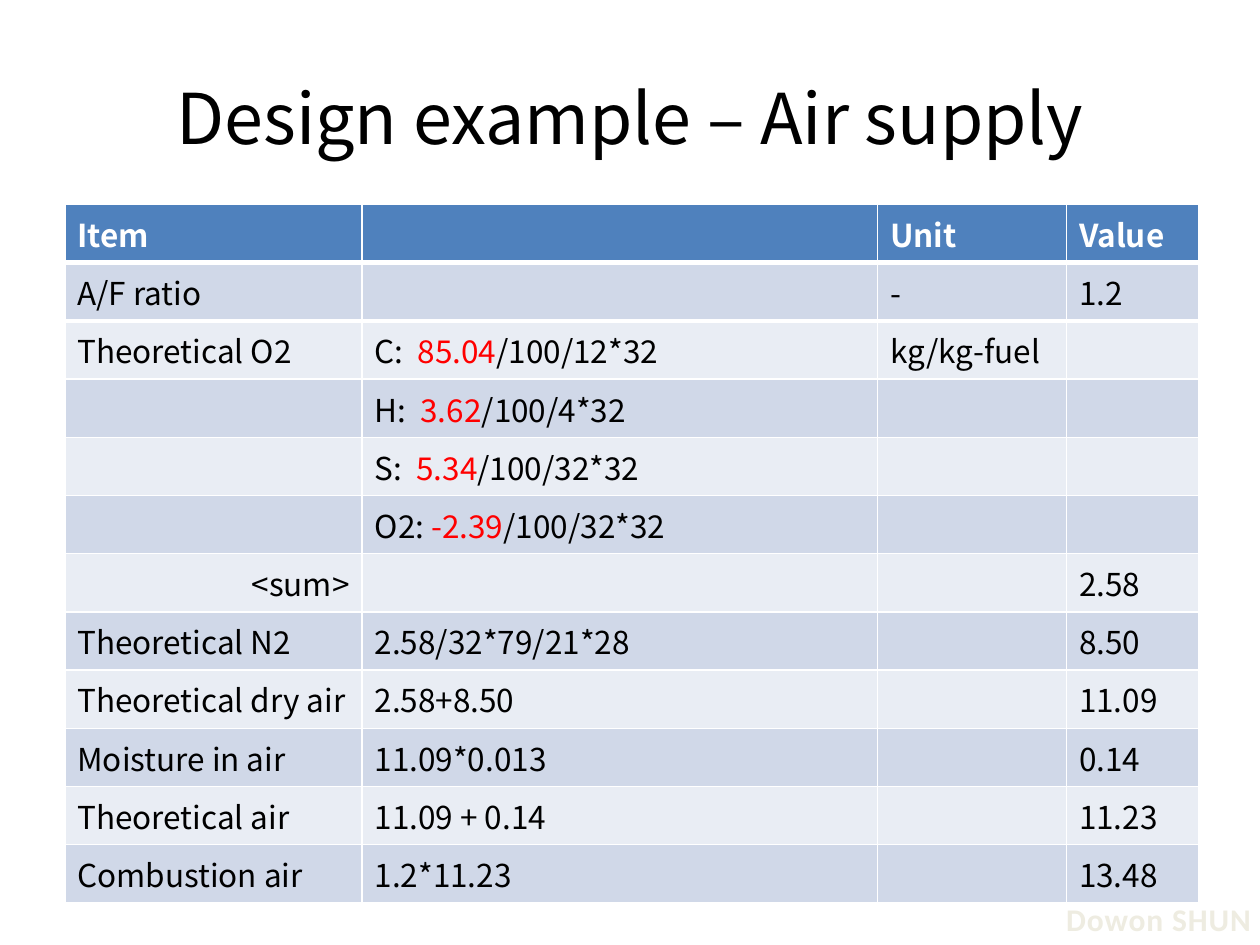
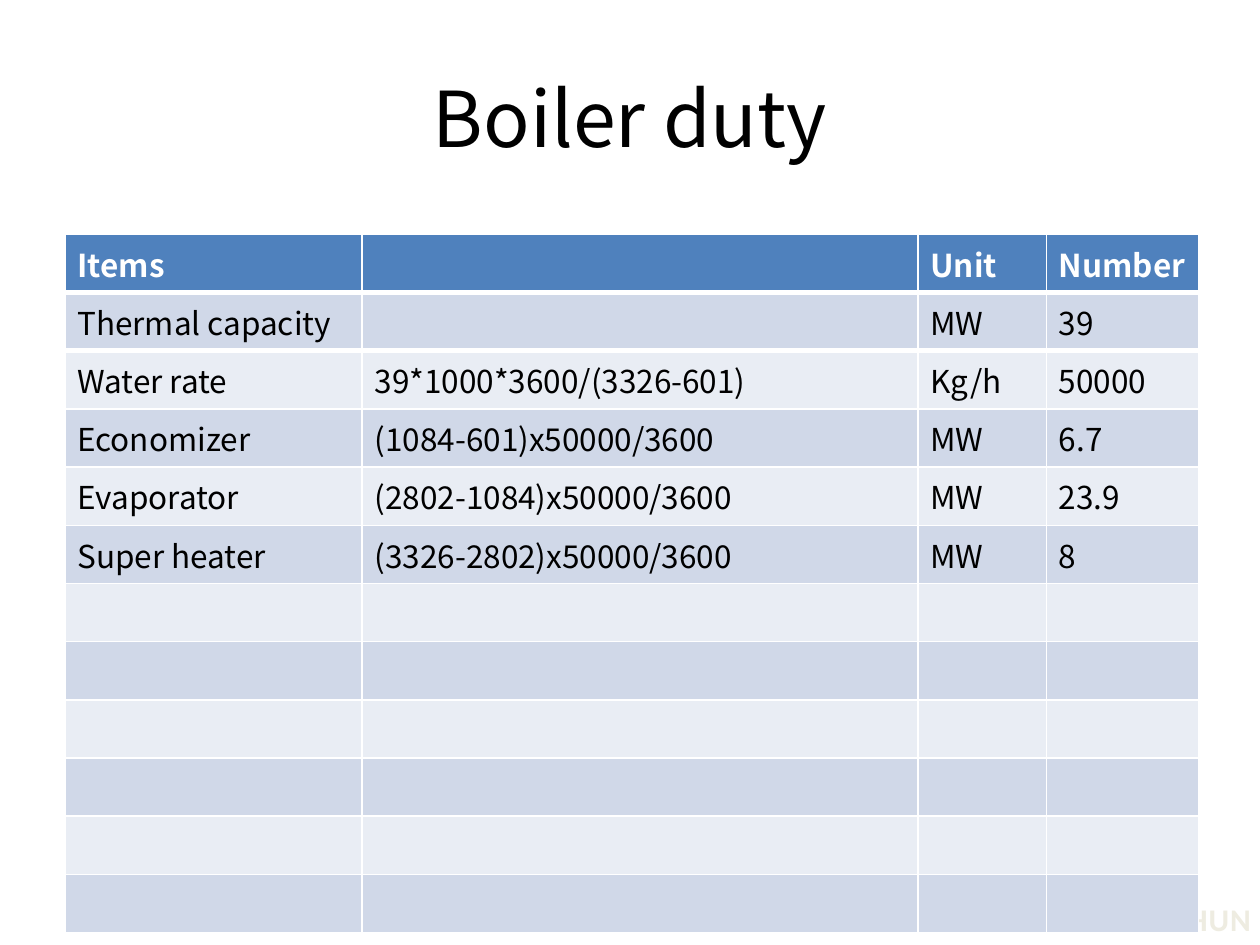
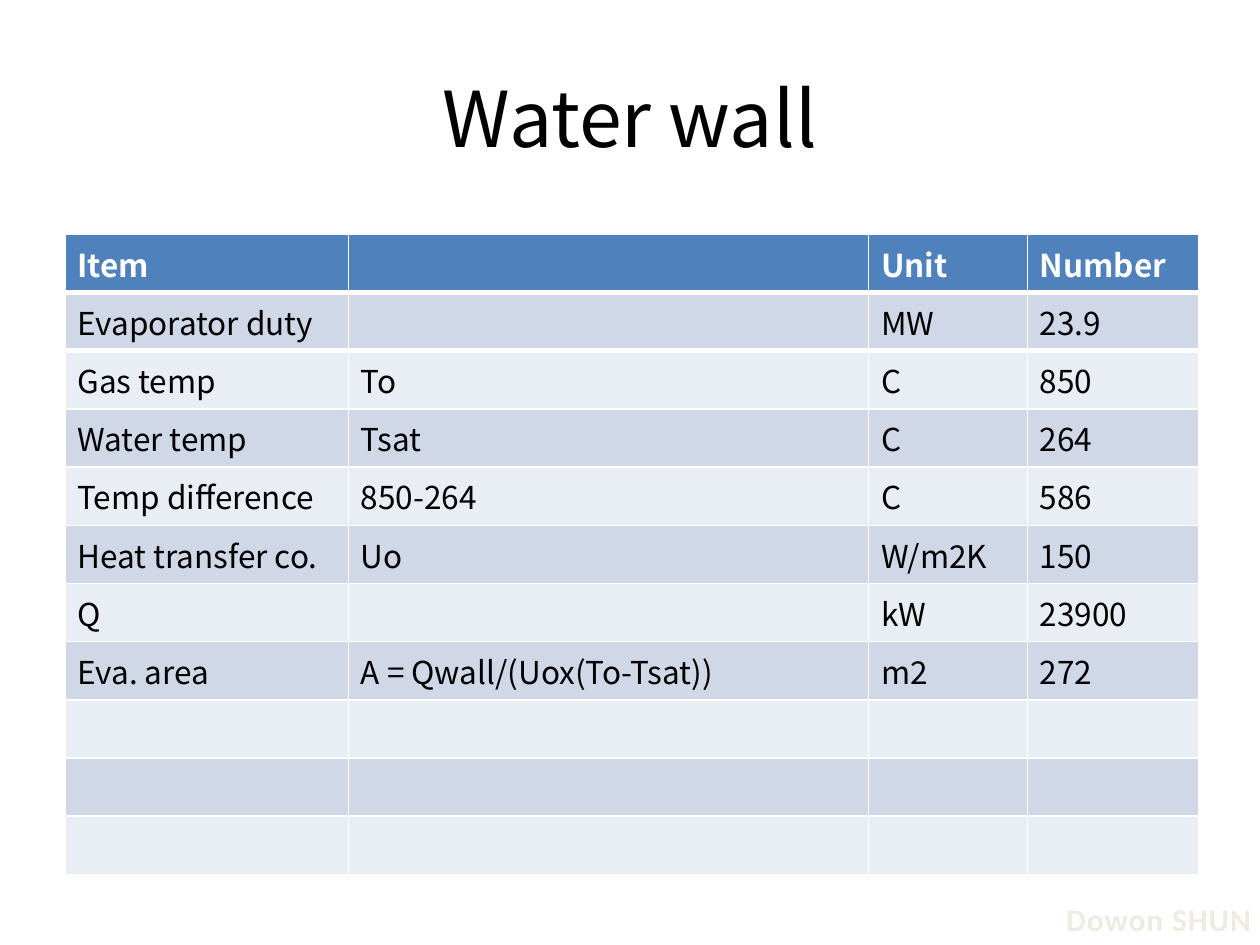
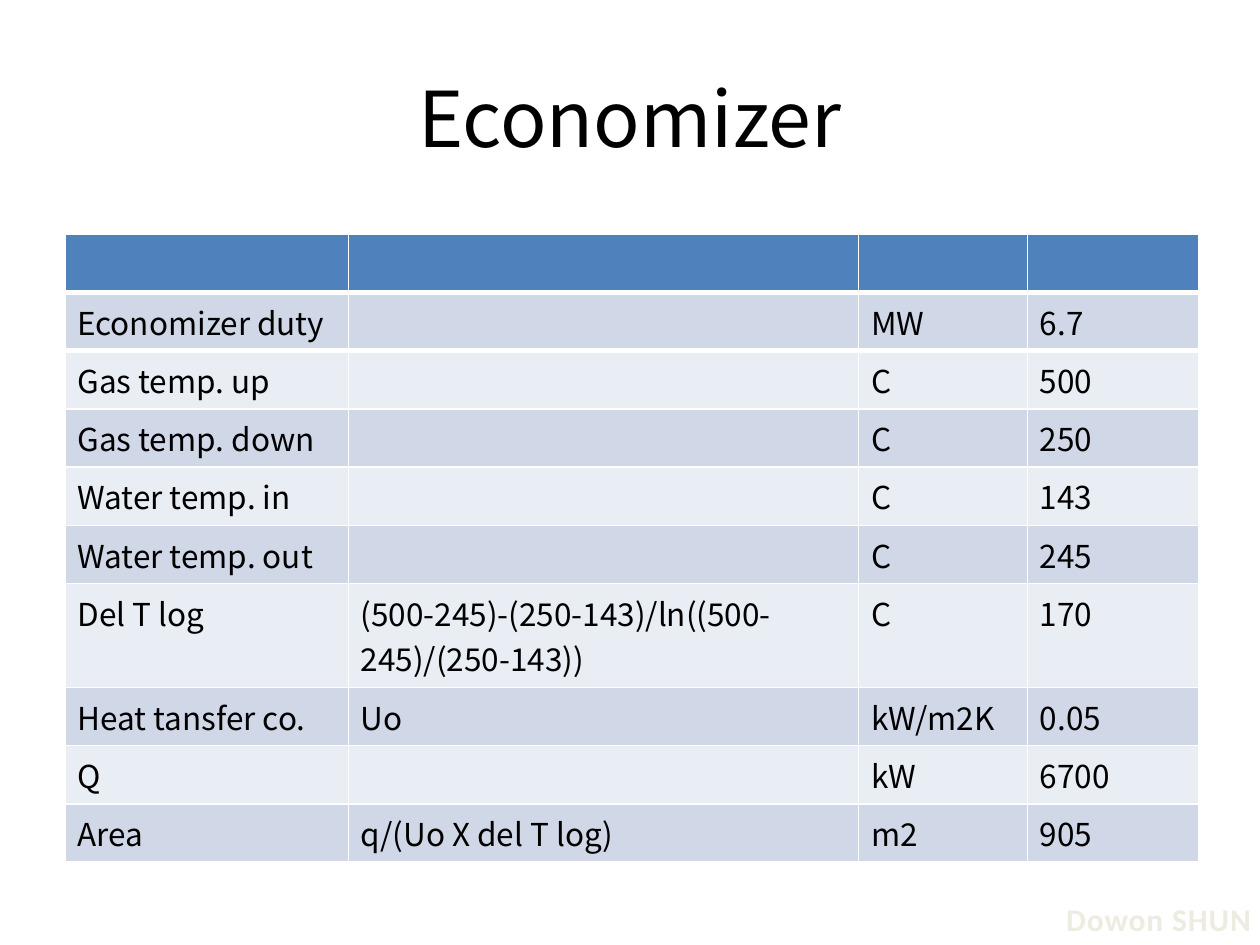
from lxml import etree
from pptx import Presentation
from pptx.dml.color import RGBColor
from pptx.enum.text import MSO_ANCHOR, PP_ALIGN
from pptx.oxml.ns import qn
from pptx.util import Inches, Pt

CENTER, LEFT, RIGHT = PP_ALIGN.CENTER, PP_ALIGN.LEFT, PP_ALIGN.RIGHT
MIDDLE = MSO_ANCHOR.MIDDLE

# Shared look
BODY_FONT, FOOTER_FONT = "Noto Sans CJK KR", "Calibri"
BLACK, WHITE, RED, PALE = "000000", "FFFFFF", "FF0000", "EEECE1"
HEADER_FILL, BAND_FILLS = "4F81BD", ("E9EDF4", "D0D8E8")
FOOTER = "Dowon SHUN"

prs = Presentation()
prs.slide_width, prs.slide_height = Inches(10), Inches(7.5)
X, Y = prs.slide_width / 100, prs.slide_height / 100  # one percent of the slide
TABLE_LEFT, ROW_HEIGHT, TALL_ROW_HEIGHT = 5.14, 6.16, 11
LONG_TEXT = 40  # characters that need a second line
RULE_WIDTH = Pt(3)


def color(hex_string):
    return RGBColor.from_string(hex_string)


def write(frame, text, size=18, font=BODY_FONT, fill=BLACK, bold=False, align=LEFT, spacing=0):
    """Fill a frame; parts between bars are red."""
    paragraph = frame.paragraphs[0]
    paragraph.alignment = align
    if not text:  # an empty cell keeps the line height of the body font
        end = etree.SubElement(paragraph._p, qn("a:endParaRPr"), sz=str(size * 100))
        etree.SubElement(end, qn("a:latin"), typeface=font)
        return
    for i, part in enumerate(text.split("|")):
        run = paragraph.add_run()
        run.text = part
        run.font.size, run.font.name, run.font.bold = Pt(size), font, bold
        run.font.color.rgb = color(RED if i % 2 else fill)
        if spacing:
            run.font._element.set("spc", str(int(spacing * 100)))


# Content: title, title size, table top and column widths in percent, rows
EMPTY = ("", "", "", "")
SLIDES = [
    ("Design example – Air supply", 40, 21.65, (23.6, 40.9, 15, 10.5), [
        ("Item", "", "Unit", "Value"),
        ("A/F ratio", "", "-", "1.2"),
        ("Theoretical O2", "C:  |85.04|/100/12*32", "kg/kg-fuel", ""),
        ("", "H:  |3.62|/100/4*32", "", ""),
        ("", "S:  |5.34|/100/32*32", "", ""),
        ("", "O2: |-2.39|/100/32*32", "", ""),
        ("<sum>", "", "", "2.58"),
        ("Theoretical N2", "2.58/32*79/21*28", "", "8.50"),
        ("Theoretical dry air", "2.58+8.50", "", "11.09"),
        ("Moisture in air", "11.09*0.013", "", "0.14"),
        ("Theoretical air", "11.09 + 0.14", "", "11.23"),
        ("Combustion air", "1.2*11.23", "", "13.48"),
    ]),
    ("Boiler duty", 44, 24.8, (23.6, 44.1, 10.2, 12.1), [
        ("Items", "", "Unit", "Number"),
        ("Thermal capacity", "", "MW", "39"),
        ("Water rate", "39*1000*3600/(3326-601)", "Kg/h", "50000"),
        ("Economizer", "(1084-601)x50000/3600", "MW", "6.7"),
        ("Evaporator", "(2802-1084)x50000/3600", "MW", "23.9"),
        ("Super heater", "(3326-2802)x50000/3600", "MW", "8"),
        *[EMPTY] * 6,
    ]),
    ("Water wall", 44, 24.8, (22.5, 41.3, 12.6, 13.6), [
        ("Item", "", "Unit", "Number"),
        ("Evaporator duty", "", "MW", "23.9"),
        ("Gas temp", "To", "C", "850"),
        ("Water temp", "Tsat", "C", "264"),
        ("Temp difference", "850-264", "C", "586"),
        ("Heat transfer co.", "Uo", "W/m2K", "150"),
        ("Q", "", "kW", "23900"),
        ("Eva. area", "A = Qwall/(Uox(To-Tsat))", "m2", "272"),
        *[EMPTY] * 3,
    ]),
    ("Economizer", 44, 24.8, (22.5, 40.5, 13.4, 13.6), [
        EMPTY,
        ("Economizer duty", "", "MW", "6.7"),
        ("Gas temp. up", "", "C", "500"),
        ("Gas temp. down", "", "C", "250"),
        ("Water temp. in", "", "C", "143"),
        ("Water temp. out", "", "C", "245"),
        ("Del T log", "(500-245)-(250-143)/ln((500-245)/(250-143))", "C", "170"),
        ("Heat tansfer co.", "Uo", "kW/m2K", "0.05"),
        ("Q", "", "kW", "6700"),
        ("Area", "q/(Uo X del T log)", "m2", "905"),
    ]),
]

for heading, heading_size, top, widths, rows in SLIDES:
    slide = prs.slides.add_slide(prs.slide_layouts[5])

    # Title
    title = slide.shapes.title
    title.left, title.top = int(5 * X), int(4 * Y)
    title.width, title.height = int(90 * X), int(16.67 * Y)
    title.text_frame.vertical_anchor = MIDDLE
    write(title.text_frame, heading, size=heading_size, align=CENTER)

    # Footer, behind the table
    footer = slide.shapes.add_textbox(int(84.4 * X), int(94.55 * Y), int(15.1 * X), int(5.33 * Y))
    footer.text_frame.word_wrap = False
    footer.text_frame.margin_left = footer.text_frame.margin_right = 0
    write(footer.text_frame, FOOTER, font=FOOTER_FONT, fill=PALE, bold=True,
          align=CENTER, spacing=0.5)

    # Table; the default style draws the thin white grid
    table = slide.shapes.add_table(
        len(rows), len(widths), int(TABLE_LEFT * X), int(top * Y),
        int(sum(widths) * X), int(len(rows) * ROW_HEIGHT * Y)).table
    for column, width in zip(table.columns, widths):
        column.width = int(width * X)
    for r, row in enumerate(rows):
        header = r == 0
        tall = max(map(len, row)) > LONG_TEXT
        table.rows[r].height = int((TALL_ROW_HEIGHT if tall else ROW_HEIGHT) * Y)
        for c, text in enumerate(row):
            cell = table.cell(r, c)
            cell.fill.solid()
            cell.fill.fore_color.rgb = color(HEADER_FILL if header else BAND_FILLS[r % 2])
            write(cell.text_frame, text, fill=WHITE if header else BLACK, bold=header,
                  align=RIGHT if text == "<sum>" else LEFT)
            if r < 2:  # thick rule between the header and the first row
                rule = etree.Element(qn("a:lnB" if header else "a:lnT"), w=str(RULE_WIDTH))
                rule_fill = etree.SubElement(rule, qn("a:solidFill"))
                etree.SubElement(rule_fill, qn("a:srgbClr"), val=WHITE)
                cell._tc.get_or_add_tcPr().insert(0, rule)

prs.save("out.pptx")
